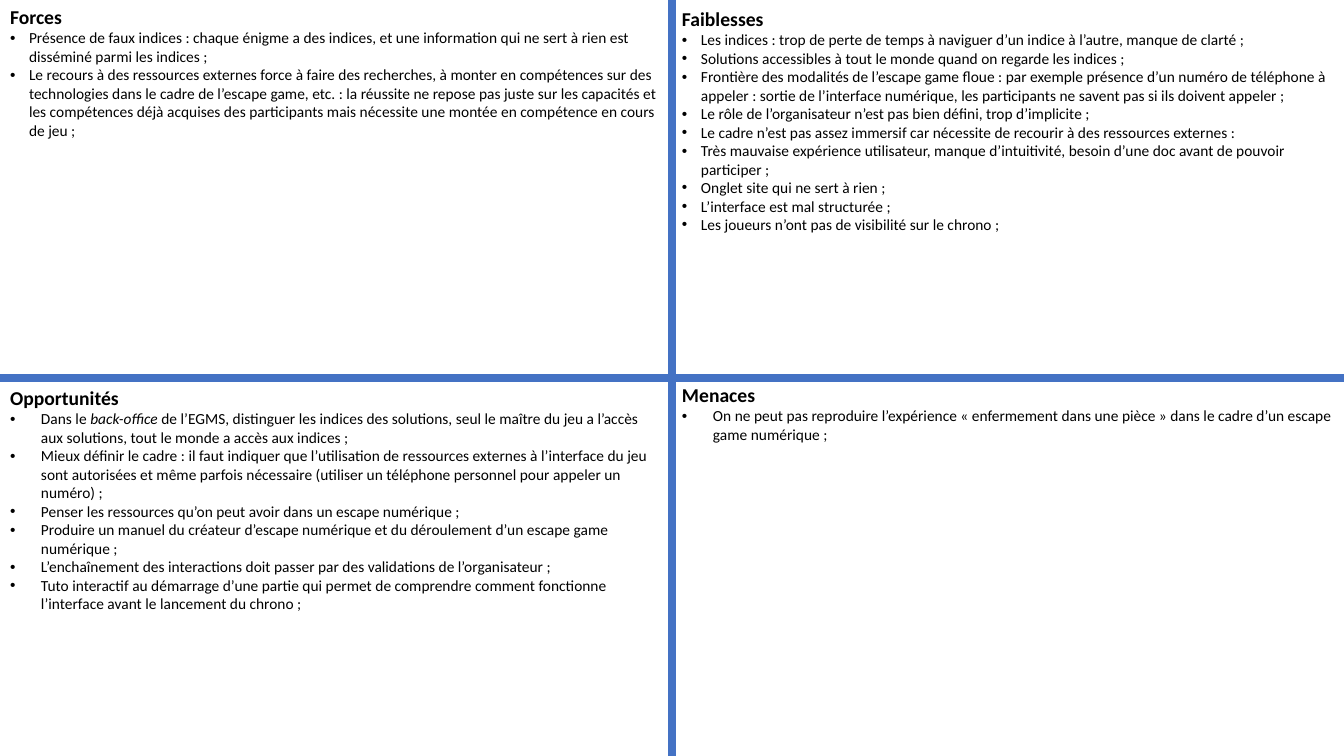
from pptx import Presentation
from pptx import util as u
from pptx.dml.color import RGBColor
from pptx.enum import shapes, text
from pptx.oxml.ns import qn
from lxml import etree

PIXEL = 914400 / 100.8
WIDTH, HEIGHT = 1344, 756
MIDDLE_X, MIDDLE_Y = WIDTH // 2, HEIGHT // 2
NARROW, WIDE = 19, 31

FORCES = [
    "Présence de faux indices : chaque énigme a des indices, et une information qui ne sert à rien est disséminé parmi les indices ;",
    "Le recours à des ressources externes force à faire des recherches, à monter en compétences sur des technologies dans le cadre de l’escape game, etc. : la réussite ne repose pas juste sur les capacités et les compétences déjà acquises des participants mais nécessite une montée en compétence en cours de jeu ;",
]
FAIBLESSES = [
    "Les indices : trop de perte de temps à naviguer d’un indice à l’autre, manque de clarté ;",
    "Solutions accessibles à tout le monde quand on regarde les indices ;",
    "Frontière des modalités de l’escape game floue : par exemple présence d’un numéro de téléphone à appeler : sortie de l’interface numérique, les participants ne savent pas si ils doivent appeler ;",
    "Le rôle de l’organisateur n’est pas bien défini, trop d’implicite ;",
    "Le cadre n’est pas assez immersif car nécessite de recourir à des ressources externes :",
    "Très mauvaise expérience utilisateur, manque d’intuitivité, besoin d’une doc avant de pouvoir participer ;",
    "Onglet site qui ne sert à rien ;",
    "L’interface est mal structurée ;",
    "Les joueurs n’ont pas de visibilité sur le chrono ;",
]
OPPORTUNITES = [
    "Dans le* back-office *de l’EGMS, distinguer les indices des solutions, seul le maître du jeu a l’accès aux solutions, tout le monde a accès aux indices ;",
    "Mieux définir le cadre : il faut indiquer que l’utilisation de ressources externes à l’interface du jeu sont autorisées et même parfois nécessaire (utiliser un téléphone personnel pour appeler un numéro) ;",
    "Penser les ressources qu’on peut avoir dans un escape numérique ;",
    "Produire un manuel du créateur d’escape numérique et du déroulement d’un escape game numérique ;",
    "L’enchaînement des interactions doit passer par des validations de l’organisateur ;",
    "Tuto interactif au démarrage d’une partie qui permet de comprendre comment fonctionne l’interface avant le lancement du chrono ;",
]
MENACES = [
    "On ne peut pas reproduire l’expérience « enfermement dans une pièce » dans le cadre d’un escape game numérique ;",
]


def px(length):
    return u.Emu(round(length * PIXEL))


def color(value):
    return RGBColor.from_string(value)


class SwotSlide:
    font, ink, accent = "Calibri", "000000", "4472C4"
    heading_size, item_size, line_width = 14, 11, 6

    def __init__(self, presentation):
        self.slide = presentation.slides.add_slide(presentation.slide_layouts[4])
        title = self.slide.shapes.title
        title.element.getparent().remove(title.element)

    def divider(self, *ends):
        line = self.slide.shapes.add_connector(
            shapes.MSO_CONNECTOR.STRAIGHT, *map(px, ends))
        line.line.color.rgb = color(self.accent)
        line.line.width = u.Pt(self.line_width)
        etree.SubElement(line.element.spPr, qn("a:effectLst"))

    def paragraph(self, paragraph, content, size, bold=False, indent=0):
        paragraph.alignment = text.PP_ALIGN.LEFT
        paragraph.space_before = paragraph.space_after = u.Pt(0)
        paragraph.line_spacing = 1.0
        properties = paragraph._p.get_or_add_pPr()
        properties.set("marL", str(px(indent)))
        properties.set("indent", str(-px(indent)))
        if indent:
            etree.SubElement(properties, qn("a:buFont")).set("typeface", "Arial")
            etree.SubElement(properties, qn("a:buChar")).set("char", "•")
        else:
            etree.SubElement(properties, qn("a:buNone"))
        for position, part in enumerate(content.split("*")):
            run = paragraph.add_run()
            run.text = part
            run.font.name = self.font
            run.font.size = u.Pt(size)
            run.font.bold = bold
            run.font.italic = position % 2 == 1
            run.font.color.rgb = color(self.ink)

    def quadrant(self, index, left, top, height, heading, items, indent):
        body = self.slide.placeholders[index]
        body.left, body.top = px(left), px(top)
        body.width, body.height = px(MIDDLE_X), px(height)
        frame = body.text_frame
        frame.word_wrap = True
        frame.auto_size = text.MSO_AUTO_SIZE.SHAPE_TO_FIT_TEXT
        frame.vertical_anchor = text.MSO_ANCHOR.TOP
        frame.margin_left = frame.margin_right = px(10)
        frame.margin_top = frame.margin_bottom = px(5)
        self.paragraph(frame.paragraphs[0], heading, self.heading_size, bold=True)
        for item in items:
            self.paragraph(frame.add_paragraph(), item, self.item_size, indent=indent)


presentation = Presentation()
presentation.slide_width, presentation.slide_height = px(WIDTH), px(HEIGHT)
swot = SwotSlide(presentation)
swot.divider(MIDDLE_X, 0, MIDDLE_X, HEIGHT)
swot.divider(WIDTH, MIDDLE_Y, 0, MIDDLE_Y)
swot.quadrant(1, 0, 0, 146, "Forces", FORCES, NARROW)
swot.quadrant(2, MIDDLE_X, 2, 239, "Faiblesses", FAIBLESSES, NARROW)
swot.quadrant(3, 0, 381, 286, "Opportunités", OPPORTUNITES, WIDE)
swot.quadrant(4, MIDDLE_X, MIDDLE_Y, 119, "Menaces", MENACES, WIDE)
presentation.save("out.pptx")
